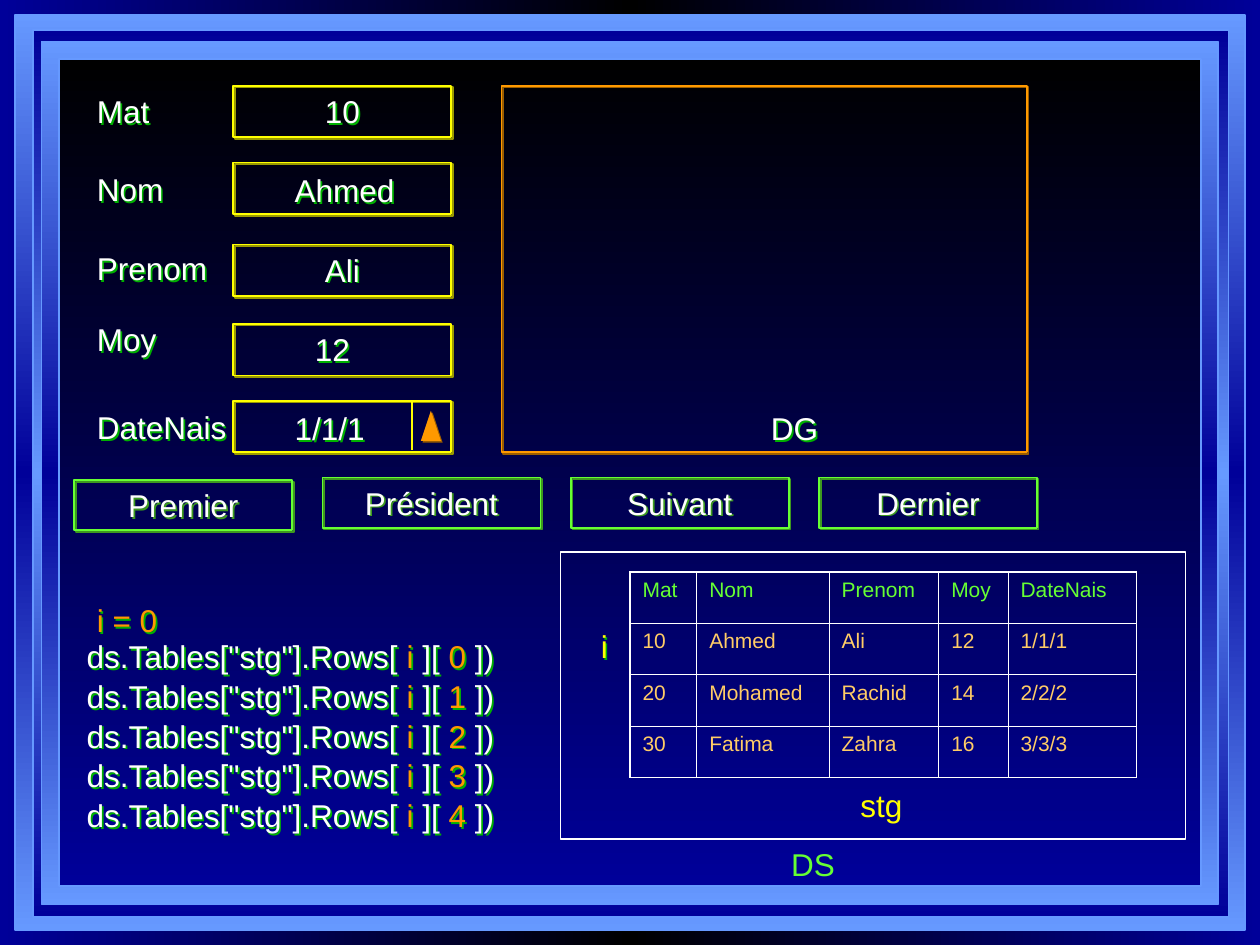
from dataclasses import dataclass
from lxml.etree import SubElement
from pptx import Presentation
from pptx.dml.color import RGBColor
from pptx.enum.shapes import MSO_CONNECTOR, MSO_SHAPE
from pptx.enum.text import MSO_ANCHOR, MSO_AUTO_SIZE, PP_ALIGN
from pptx.oxml.ns import qn
from pptx.util import Inches, Pt

WHITE = RGBColor(0xFF, 0xFF, 0xFF)
BLACK = RGBColor(0x00, 0x00, 0x00)
NAVY = RGBColor(0x00, 0x00, 0x99)
SKY = RGBColor(0x66, 0x99, 0xFF)
YELLOW = RGBColor(0xFF, 0xFF, 0x00)
ORANGE = RGBColor(0xFF, 0x99, 0x00)
GREEN = RGBColor(0x66, 0xFF, 0x33)
SAND = RGBColor(0xFF, 0xCC, 0x66)
TEXT_SHADOW = RGBColor(0x00, 0xB0, 0x00)

FONT = "Arial"
ROW_HEIGHT = 0.4
FIELD_LEFT, FIELD_WIDTH, FIELD_HEIGHT = 1.85, 1.73, 0.41


@dataclass
class Box:
    left: float
    top: float
    width: float
    height: float

    def lengths(self) -> tuple:
        return tuple(Inches(v) for v in (self.left, self.top, self.width, self.height))


@dataclass
class Layer:
    box: Box
    stops: list


@dataclass
class Field:
    label: str
    label_top: float
    field_top: float
    value: str
    value_box: Box


LAYERS = [
    Layer(Box(0.12, 0.12, 9.76, 7.26), [SKY, NAVY, SKY]),
    Layer(Box(0.26, 0.24, 9.49, 7.04), [NAVY, SKY, NAVY]),
    Layer(Box(0.33, 0.33, 9.34, 6.85), [SKY, NAVY, SKY]),
    Layer(Box(0.47, 0.47, 9.06, 6.56), [BLACK, NAVY]),
]
FIELDS = [
    Field("Mat", 0.68, 0.68, "10", Box(2.48, 0.68, 0.5, ROW_HEIGHT)),
    Field("Nom", 1.3, 1.29, "Ahmed", Box(2.24, 1.31, 1.02, ROW_HEIGHT)),
    Field("Prenom", 1.93, 1.94, "Ali", Box(2.48, 1.94, 0.5, ROW_HEIGHT)),
    Field("Moy", 2.49, 2.57, "12", Box(2.4, 2.57, 0.5, ROW_HEIGHT)),
    Field("DateNais", 3.19, 3.18, "1/1/1", Box(2.24, 3.2, 0.79, ROW_HEIGHT)),
]
BUTTONS = [("Premier", 3.81), ("Président", 3.79), ("Suivant", 3.79), ("Dernier", 3.79)]
STUDENTS = [
    ["Mat", "Nom", "Prenom", "Moy", "DateNais"],
    ["10", "Ahmed", "Ali", "12", "1/1/1"],
    ["20", "Mohamed", "Rachid", "14", "2/2/2"],
    ["30", "Fatima", "Zahra", "16", "3/3/3"],
]
COLUMN_WIDTHS = [0.53, 1.05, 0.87, 0.55, 1.02]


def set_gradient(fill, owner, colors: list, angle: float) -> None:
    fill.gradient()
    fill.gradient_angle = angle
    stops = next(owner.iter(qn("a:gsLst")))
    for stop in list(stops):
        stops.remove(stop)
    for index, color in enumerate(colors):
        position = str(100000 * index // (len(colors) - 1))
        stop = SubElement(stops, qn("a:gs"), pos=position)
        SubElement(stop, qn("a:srgbClr"), val=str(color))


def cast_shadow(shape, color: RGBColor) -> None:
    shape.shadow.inherit = False
    effects = next(shape.element.iter(qn("a:effectLst")))
    shadow = SubElement(effects, qn("a:outerShdw"), dist=str(Pt(1.4)), dir="2700000",
                        algn="ctr", rotWithShape="0")
    SubElement(shadow, qn("a:srgbClr"), val=str(color))


def darker(color: RGBColor) -> RGBColor:
    return RGBColor(*(round(part * 0.6) for part in color))


def style_run(run, color: RGBColor, size: float = 18) -> None:
    run.font.name = FONT
    run.font.size = Pt(size)
    run.font.color.rgb = color


def draw_outline(shapes, box: Box, color: RGBColor, weight: float = 1, shadowed: bool = True):
    outline = shapes.add_shape(MSO_SHAPE.RECTANGLE, *box.lengths())
    outline.shadow.inherit = False
    outline.fill.background()
    outline.line.color.rgb = color
    outline.line.width = Pt(weight)
    if shadowed:
        cast_shadow(outline, darker(color))
    return outline


def draw_text(shapes, box: Box, pieces: list, wrap: bool = False, shadowed: bool = True) -> None:
    label = shapes.add_textbox(*box.lengths())
    frame = label.text_frame
    frame.word_wrap = wrap
    frame.auto_size = MSO_AUTO_SIZE.SHAPE_TO_FIT_TEXT
    for text, color in pieces:
        run = frame.paragraphs[0].add_run()
        run.text = text
        style_run(run, color)
    if shadowed:
        cast_shadow(label, TEXT_SHADOW)


def draw_frame(slide) -> None:
    set_gradient(slide.background.fill, slide.element, [NAVY, BLACK, NAVY], 0)
    frame = slide.shapes.add_group_shape()
    for layer in LAYERS:
        panel = draw_outline(frame.shapes, layer.box, SKY, shadowed=False)
        set_gradient(panel.fill, panel.element, layer.stops, 270)


def draw_form(shapes) -> None:
    for field in FIELDS:
        draw_text(shapes, Box(0.67, field.label_top, 1.42, ROW_HEIGHT), [(field.label, WHITE)], wrap=True)
        is_date = field.label == "DateNais"
        target = shapes.add_group_shape().shapes if is_date else shapes
        draw_outline(target, Box(FIELD_LEFT, field.field_top, FIELD_WIDTH, FIELD_HEIGHT), YELLOW)
        if is_date:
            draw_date_picker(target)
        draw_text(shapes, field.value_box, [(field.value, WHITE)])


def draw_date_picker(shapes) -> None:
    divider = shapes.add_connector(MSO_CONNECTOR.STRAIGHT, Inches(3.27), Inches(3.18),
                                   Inches(3.27), Inches(3.57))
    divider.line.color.rgb = YELLOW
    divider.line.width = Pt(1)
    SubElement(divider.element.spPr, qn("a:effectLst"))
    arrow = shapes.add_shape(MSO_SHAPE.ISOSCELES_TRIANGLE, *Box(3.34, 3.26, 0.16, 0.24).lengths())
    arrow.fill.solid()
    arrow.fill.fore_color.rgb = ORANGE
    arrow.line.fill.background()
    cast_shadow(arrow, darker(ORANGE))


def draw_buttons(shapes) -> None:
    for index, (caption, top) in enumerate(BUTTONS):
        button = draw_outline(shapes, Box(0.59 + 1.97 * index, top, 1.73, ROW_HEIGHT), GREEN)
        frame = button.text_frame
        frame.text = caption
        frame.vertical_anchor = MSO_ANCHOR.TOP
        frame.paragraphs[0].alignment = PP_ALIGN.CENTER
        style_run(frame.paragraphs[0].runs[0], WHITE)


def draw_borders(cell, outer_sides: dict) -> None:
    properties = cell._tc.get_or_add_tcPr()
    for index, (side, is_outer) in enumerate(outer_sides.items()):
        border = properties.makeelement(qn(f"a:{side}"), {"w": str(Pt(1.08 if is_outer else 0.45))})
        properties.insert(index, border)
        SubElement(SubElement(border, qn("a:solidFill")), qn("a:srgbClr"), val=str(WHITE))


def draw_student_table(shapes) -> None:
    last_row, last_column = len(STUDENTS) - 1, len(COLUMN_WIDTHS) - 1
    table = shapes.add_table(len(STUDENTS), len(COLUMN_WIDTHS), *Box(5, 4.54, 4.02, 1.63).lengths()).table
    table.first_row = table.horz_banding = False
    for column, width in zip(table.columns, COLUMN_WIDTHS):
        column.width = Inches(width)
    for r, student in enumerate(STUDENTS):
        for c, text in enumerate(student):
            cell = table.cell(r, c)
            cell.text_frame.text = text
            style_run(cell.text_frame.paragraphs[0].runs[0], SAND if r else GREEN, 12)
            cell.fill.background()
            draw_borders(cell, {"lnL": c == 0, "lnR": c == last_column, "lnT": r == 0, "lnB": r == last_row})


def draw_code(shapes) -> None:
    draw_text(shapes, Box(0.67, 4.72, 0.7, ROW_HEIGHT), [("i = 0", ORANGE)])
    for index in range(5):
        draw_text(shapes, Box(0.59, 5.01 + 0.315 * index, 3.5, ROW_HEIGHT),
                  [('ds.Tables["stg"].Rows[ ', WHITE), ("i", ORANGE), (" ][ ", WHITE),
                   (str(index), ORANGE), (" ])", WHITE)])


def main() -> None:
    deck = Presentation()
    deck.slide_width, deck.slide_height = Inches(10), Inches(7.5)
    slide = deck.slides.add_slide(deck.slide_layouts[6])
    shapes = slide.shapes
    draw_frame(slide)
    draw_form(shapes)
    draw_outline(shapes, Box(3.98, 0.68, 4.17, 2.91), ORANGE)
    draw_text(shapes, Box(6.02, 3.2, 1.42, ROW_HEIGHT), [("DG", WHITE)], wrap=True)
    draw_buttons(shapes)
    draw_text(shapes, Box(6.73, 6.19, 0.57, ROW_HEIGHT), [("stg", YELLOW)], shadowed=False)
    draw_student_table(shapes)
    draw_outline(shapes, Box(4.45, 4.38, 4.96, 2.28), WHITE, 0.75, shadowed=False)
    draw_text(shapes, Box(6.18, 6.66, 0.58, ROW_HEIGHT), [("DS", GREEN)], shadowed=False)
    draw_code(shapes)
    draw_text(shapes, Box(4.67, 4.93, 0.27, ROW_HEIGHT), [("i", YELLOW)])
    deck.save("out.pptx")


if __name__ == "__main__":
    main()
